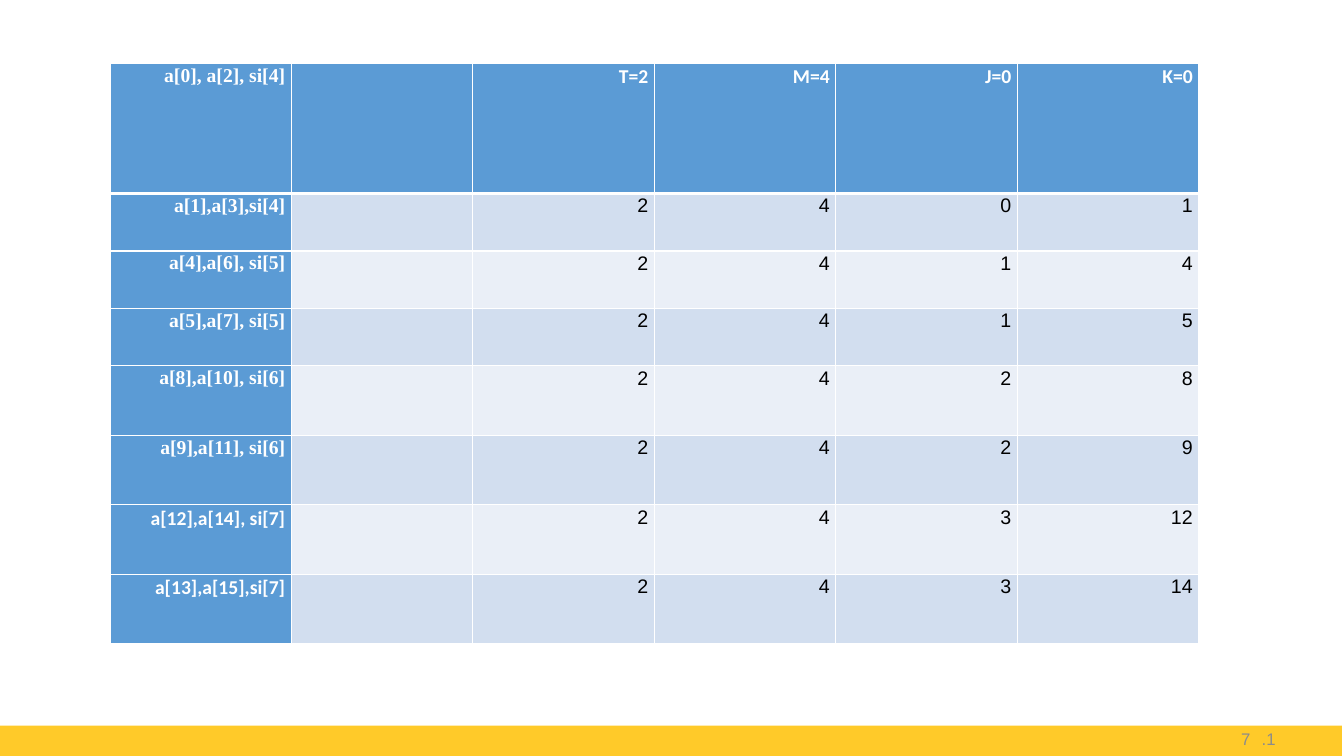
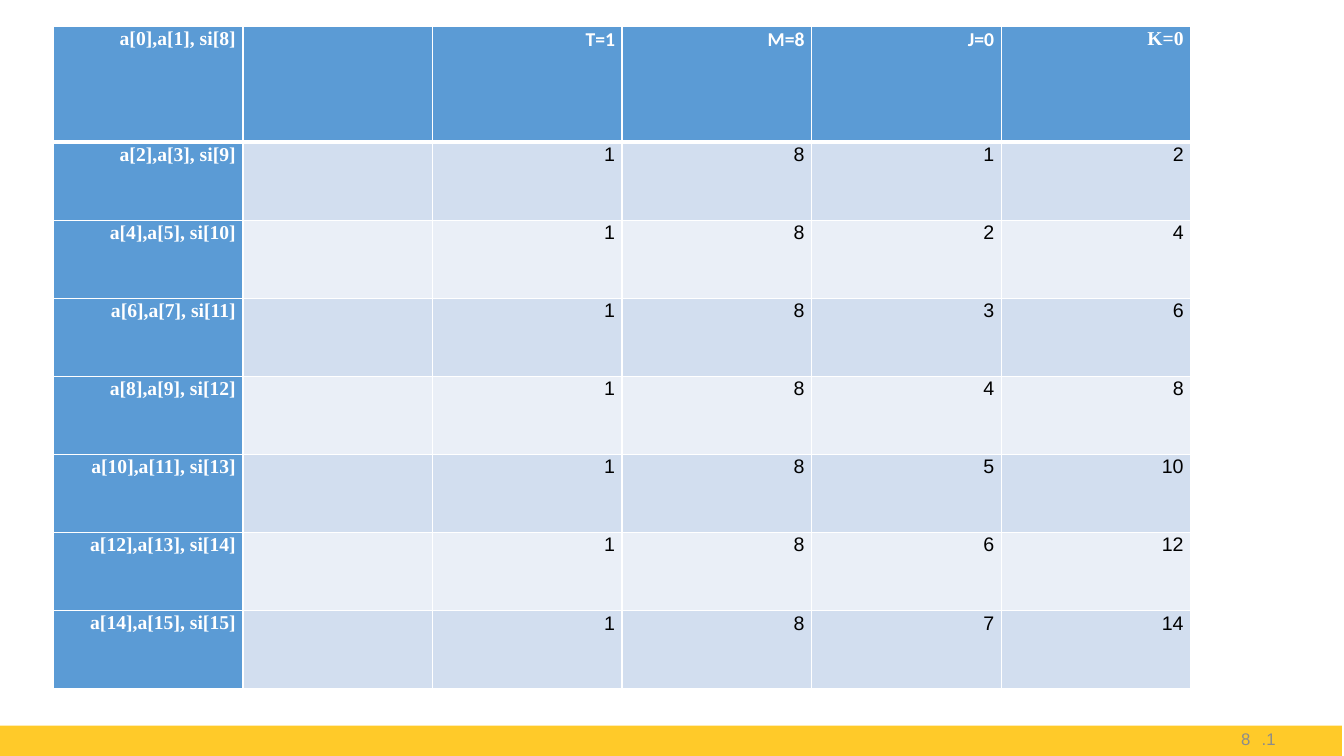
"""Build two slides of index tables with a shared yellow footer band."""
from lxml.etree import SubElement
from pptx import Presentation
from pptx.dml.color import RGBColor
from pptx.enum.shapes import MSO_SHAPE
from pptx.enum.text import MSO_ANCHOR, PP_ALIGN
from pptx.oxml.ns import qn
from pptx.util import Inches, Pt

WHITE = RGBColor(0xFF, 0xFF, 0xFF)
BLACK = RGBColor(0x00, 0x00, 0x00)
GREY = RGBColor(0x8C, 0x8C, 0x8C)
YELLOW = RGBColor(0xFF, 0xCA, 0x29)
BLUE = RGBColor(0x5B, 0x9B, 0xD5)
BANDS = (RGBColor(0xEA, 0xEF, 0xF7), RGBColor(0xD2, 0xDE, 0xEF))
SERIF, SANS, COMPLEX = "Times New Roman", "Calibri", "Arial"

SLIDES = [
    {
        "number": "7", "left": 1.09, "top": 0.63, "col": 1.8, "inset": 0.06,
        "heights": [1.29] + [0.57] * 3 + [0.69] * 4,
        "sans": {"T=2", "M=4", "J=0", "K=0", "a[12],a[14], si[7]", "a[13],a[15],si[7]"},
        "rows": [
            ("a[0], a[2], si[4]", "", "T=2", "M=4", "J=0", "K=0"),
            ("a[1],a[3],si[4]", "", "2", "4", "0", "1"),
            ("a[4],a[6], si[5]", "", "2", "4", "1", "4"),
            ("a[5],a[7], si[5]", "", "2", "4", "1", "5"),
            ("a[8],a[10], si[6]", "", "2", "4", "2", "8"),
            ("a[9],a[11], si[6]", "", "2", "4", "2", "9"),
            ("a[12],a[14], si[7]", "", "2", "4", "3", "12"),
            ("a[13],a[15],si[7]", "", "2", "4", "3", "14"),
        ],
    },
    {
        "number": "8", "left": 0.53, "top": 0.26, "col": 1.88, "inset": 0.07,
        "heights": [1.15] + [0.775] * 7,
        "sans": {"T=1", "M=8", "J=0"},
        "rows": [
            ("a[0],a[1], si[8]", "", "T=1", "M=8", "J=0", "K=0"),
            ("a[2],a[3], si[9]", "", "1", "8", "1", "2"),
            ("a[4],a[5], si[10]", "", "1", "8", "2", "4"),
            ("a[6],a[7], si[11]", "", "1", "8", "3", "6"),
            ("a[8],a[9], si[12]", "", "1", "8", "4", "8"),
            ("a[10],a[11], si[13]", "", "1", "8", "5", "10"),
            ("a[12],a[13], si[14]", "", "1", "8", "6", "12"),
            ("a[14],a[15], si[15]", "", "1", "8", "7", "14"),
        ],
    },
]


def add_text(p, text, color, **font):
    p.alignment = PP_ALIGN.RIGHT
    p._p.get_or_add_pPr().set("rtl", "1")
    r = p.add_run()
    r.text = text
    r.font.color.rgb = color
    for name, value in font.items():
        setattr(r.font, name, value)
    SubElement(r._r.get_or_add_rPr(), qn("a:cs"), typeface=COMPLEX)


def add_footer(s, number):
    sp = s.shapes.add_shape(MSO_SHAPE.RECTANGLE, 0, Inches(7.2), Inches(13.31), Inches(0.3))
    sp.shadow.inherit = False
    sp.fill.solid()
    sp.fill.fore_color.rgb = YELLOW
    sp.line.fill.background()

    tf = s.shapes.add_textbox(Inches(9.75), Inches(7.13), Inches(3), Inches(0.4)).text_frame
    tf.word_wrap = True
    tf.vertical_anchor = MSO_ANCHOR.MIDDLE
    p = tf.paragraphs[0]
    pPr = p._p.get_or_add_pPr()
    pPr.set("marL", str(Inches(0.25)))
    pPr.set("indent", str(-Inches(0.25)))
    SubElement(pPr, qn("a:buFont"), typeface=COMPLEX)
    SubElement(pPr, qn("a:buAutoNum"), type="arabicPeriod")
    add_text(p, number, GREY, size=Pt(12), name=SERIF)


def add_borders(cell, row):
    widths = {"L": 1, "R": 1, "T": 3 if row == 1 else 1, "B": 3 if row == 0 else 1}
    tcPr = cell._tc.get_or_add_tcPr()
    for side, width in widths.items():
        ln = SubElement(tcPr, qn(f"a:ln{side}"), w=str(Pt(width)))
        fill = SubElement(ln, qn("a:solidFill"))
        SubElement(fill, qn("a:srgbClr"), val=str(WHITE))


def add_index_table(s, data):
    rows, heights = data["rows"], data["heights"]
    n = len(rows[0])
    table = s.shapes.add_table(
        len(rows), n, Inches(data["left"]), Inches(data["top"]),
        Inches(data["col"] * n), Inches(sum(heights))).table
    for column in table.columns:
        column.width = Inches(data["col"])
    inset = Inches(data["inset"])
    margins = {"margin_left": inset, "margin_right": inset, "margin_top": 0, "margin_bottom": 0}
    for i, (row, height) in enumerate(zip(rows, heights)):
        table.rows[i].height = Inches(height)
        for j, text in enumerate(row):
            cell = table.cell(i, j)
            head = i == 0 or j == 0
            for name, value in margins.items():
                setattr(cell, name, value)
            add_borders(cell, i)
            cell.fill.solid()
            cell.fill.fore_color.rgb = BLUE if head else BANDS[i % 2]
            if text:
                p = cell.text_frame.paragraphs[0]
                p.line_spacing = 1.07
                add_text(p, text, WHITE if head else BLACK, size=Pt(14), bold=head,
                         name=SANS if text in data["sans"] else SERIF)


def main():
    prs = Presentation()
    prs.slide_width, prs.slide_height = Inches(13.33), Inches(7.5)
    for data in SLIDES:
        s = prs.slides.add_slide(prs.slide_layouts[6])
        add_footer(s, data["number"])
        add_index_table(s, data)
    prs.save("out.pptx")


if __name__ == "__main__":
    main()
